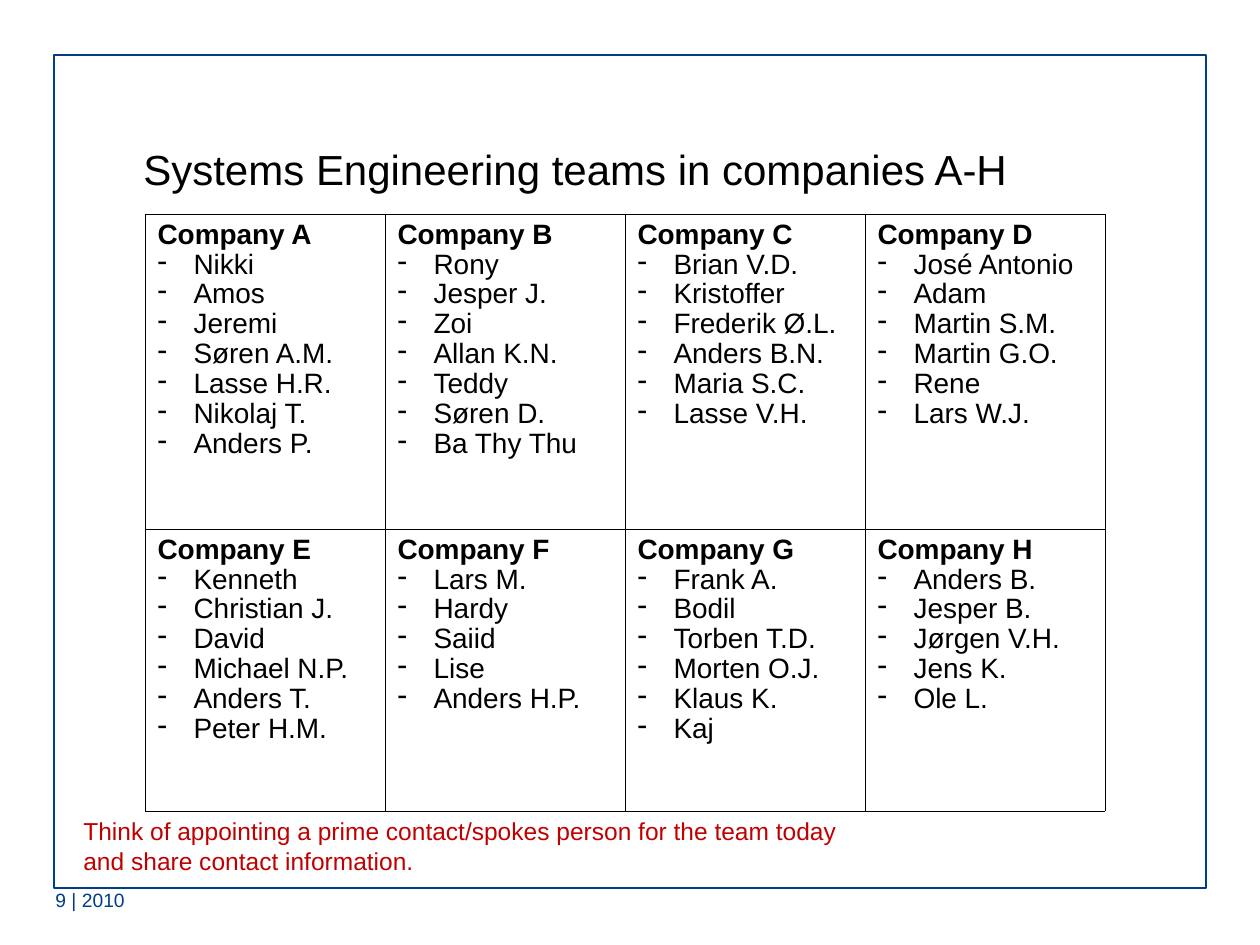
from lxml import etree
from pptx import Presentation
from pptx.dml.color import RGBColor
from pptx.enum.shapes import MSO_SHAPE
from pptx.enum.text import MSO_ANCHOR
from pptx.oxml.ns import qn
from pptx.util import Emu, Pt

RECT = MSO_SHAPE.RECTANGLE
TOP, MIDDLE = MSO_ANCHOR.TOP, MSO_ANCHOR.MIDDLE
EMU_PER_PX = 914400 / 126


class Theme:
    font = "Arial"
    ink = "000000"
    blue = "003D85"
    red = "C00000"
    title_size = 24
    cell_size = 16
    note_size = 14
    footer_size = 11
    frame_line = 0.75
    border = 0.45
    cell_spacing = 0.96


COLUMNS = 4
COLUMN_WIDTH = 240
ROW_HEIGHTS = [315, 282]
BULLET_INDENT = 36

TEAMS = {
    "Company A": ["Nikki", "Amos", "Jeremi", "Søren A.M.", "Lasse H.R.",
                  "Nikolaj T.", "Anders P."],
    "Company B": ["Rony", "Jesper J.", "Zoi", "Allan K.N.", "Teddy",
                  "Søren D.", "Ba Thy Thu"],
    "Company C": ["Brian V.D.", "Kristoffer", "Frederik Ø.L.", "Anders B.N.",
                  "Maria S.C.", "Lasse V.H."],
    "Company D": ["José Antonio", "Adam", "Martin S.M.", "Martin G.O.",
                  "Rene", "Lars W.J."],
    "Company E": ["Kenneth", "Christian J.", "David", "Michael N.P.",
                  "Anders T.", "Peter H.M."],
    "Company F": ["Lars M.", "Hardy", "Saiid", "Lise", "Anders H.P."],
    "Company G": ["Frank A.", "Bodil", "Torben T.D.", "Morten O.J.",
                  "Klaus K.", "Kaj"],
    "Company H": ["Anders B.", "Jesper B.", "Jørgen V.H.", "Jens K.", "Ole L."],
}


def px(n):
    return Emu(round(n * EMU_PER_PX))


def box(x, y, w, h):
    return px(x), px(y), px(w), px(h)


def write(p, text, size, color, bold=False):
    r = p.add_run()
    r.text = text
    formats = {"name": Theme.font, "size": Pt(size), "bold": bold}
    for name, value in formats.items():
        setattr(r.font, name, value)
    r.font.color.rgb = RGBColor.from_string(color)


def paragraph(tf, index):
    return tf.paragraphs[0] if index == 0 else tf.add_paragraph()


def add_text(s, place, lines, size, color, anchor=TOP, wrap=True):
    tf = s.shapes.add_textbox(*box(*place)).text_frame
    tf.word_wrap = wrap
    tf.vertical_anchor = anchor
    for i, line in enumerate(lines):
        write(paragraph(tf, i), line, size, color)


def add_frame(s, place):
    sp = s.shapes.add_shape(RECT, *box(*place))
    sp.shadow.inherit = False
    sp.fill.background()
    sp.line.color.rgb = RGBColor.from_string(Theme.blue)
    sp.line.width = Pt(Theme.frame_line)


def add_dash(p):
    pPr = p._p.get_or_add_pPr()
    pPr.set("marL", str(px(BULLET_INDENT)))
    pPr.set("indent", str(-px(BULLET_INDENT)))
    etree.SubElement(pPr, qn("a:buChar"), char="-")


def add_borders(cell):
    tcPr = cell._tc.get_or_add_tcPr()
    for side in ("lnL", "lnR", "lnT", "lnB"):
        ln = etree.SubElement(tcPr, qn(f"a:{side}"), w=str(Pt(Theme.border)))
        fill = etree.SubElement(ln, qn("a:solidFill"))
        etree.SubElement(fill, qn("a:srgbClr"), val=Theme.ink)


def fill_cell(cell, company, members):
    add_borders(cell)
    cell.fill.background()
    for i, text in enumerate([company, *members]):
        p = paragraph(cell.text_frame, i)
        if i > 0:
            add_dash(p)
        p.line_spacing = Theme.cell_spacing
        write(p, text, Theme.cell_size, Theme.ink, bold=i == 0)


def add_teams(s, x, y):
    place = box(x, y, COLUMNS * COLUMN_WIDTH, sum(ROW_HEIGHTS))
    table = s.shapes.add_table(len(ROW_HEIGHTS), COLUMNS, *place).table
    table.first_row = table.horz_banding = False
    for column in table.columns:
        column.width = px(COLUMN_WIDTH)
    for row, height in zip(table.rows, ROW_HEIGHTS):
        row.height = px(height)
    for i, (company, members) in enumerate(TEAMS.items()):
        fill_cell(table.cell(*divmod(i, COLUMNS)), company, members)


def main():
    prs = Presentation()
    prs.slide_width, prs.slide_height = px(1260), px(945)
    s = prs.slides.add_slide(prs.slide_layouts[6])

    # Frame and title
    add_frame(s, (54, 55, 1152, 833))
    add_text(s, (131, 110, 1134, 117),
             ["Systems Engineering teams in companies A-H"],
             Theme.title_size, Theme.ink, MIDDLE)

    # Team table
    add_teams(s, 145, 214)

    # Footer and note
    add_text(s, (43, 882, 294, 66), ["9 | 2010"],
             Theme.footer_size, Theme.blue)
    add_text(s, (71, 810, 779, 72),
             ["Think of appointing a prime contact/spokes person for the team today",
              "and share contact information."],
             Theme.note_size, Theme.red, wrap=False)

    prs.save("out.pptx")


if __name__ == "__main__":
    main()
